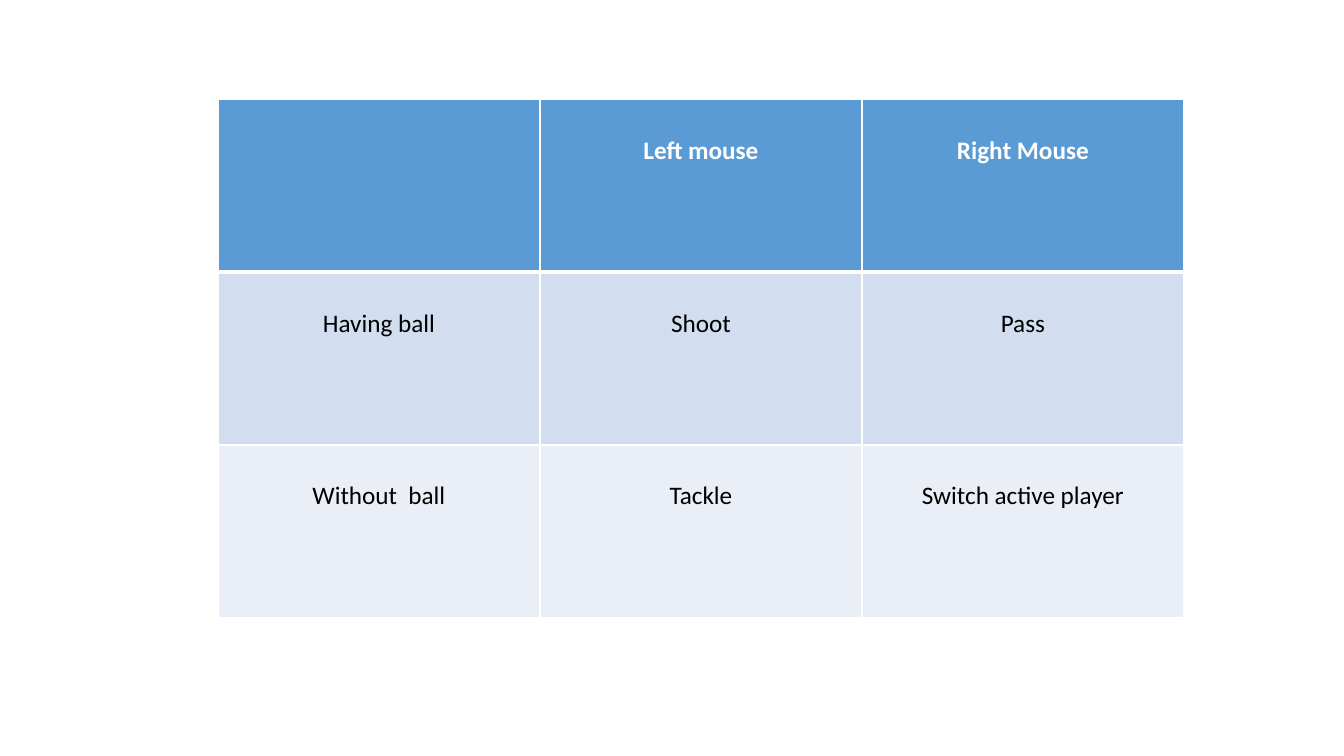
from dataclasses import dataclass
from lxml import etree
from pptx import Presentation
from pptx.dml.color import RGBColor
from pptx.enum.text import PP_ALIGN
from pptx.oxml.ns import qn
from pptx.util import Pt

CENTER = PP_ALIGN.CENTER
SCALE = 914400 / 100.8


@dataclass(frozen=True)
class Theme:
    font: str = "Calibri"
    size: int = 18
    row_fills: tuple = ("5B9BD5", "D2DEEF", "EAEFF7")
    header_text: str = "FFFFFF"
    body_text: str = "000000"
    border: str = "FFFFFF"
    thin: int = 1
    thick: int = 3


def px(length):
    return round(length * SCALE)


def add_border(cell, side, points):
    properties = cell._tc.get_or_add_tcPr()
    line = etree.SubElement(properties, qn(f"a:ln{side}"), w=str(Pt(points)))
    fill = etree.SubElement(line, qn("a:solidFill"))
    etree.SubElement(fill, qn("a:srgbClr"), val=theme.border)


theme = Theme()
controls = [
    ["", "Left mouse", "Right Mouse"],
    ["Having ball", "Shoot", "Pass"],
    ["Without  ball", "Tackle", "Switch active player"],
]
column_width, row_height = 322, 173
text_offset = 36

deck = Presentation()
deck.slide_width, deck.slide_height = px(1344), px(756)
page = deck.slides.add_slide(deck.slide_layouts[6])

frame = page.shapes.add_table(
    len(controls), len(controls[0]), px(218), px(99),
    px(column_width * len(controls[0])), px(row_height * len(controls)))
table = frame.table
for column in table.columns:
    column.width = px(column_width)

for row_index, labels in enumerate(controls):
    table.rows[row_index].height = px(row_height)
    is_header = row_index == 0
    for column_index, label in enumerate(labels):
        cell = table.cell(row_index, column_index)
        for side in "LRTB":
            by_header = (row_index, side) in ((0, "B"), (1, "T"))
            add_border(cell, side, theme.thick if by_header else theme.thin)
        cell.fill.solid()
        cell.fill.fore_color.rgb = RGBColor.from_string(theme.row_fills[row_index])
        cell.margin_top = px(text_offset)
        cell.text = label
        para = cell.text_frame.paragraphs[0]
        para.alignment = CENTER
        para.font.name = theme.font
        para.font.size = Pt(theme.size)
        para.font.bold = is_header
        para.font.color.rgb = RGBColor.from_string(
            theme.header_text if is_header else theme.body_text)

deck.save("out.pptx")
